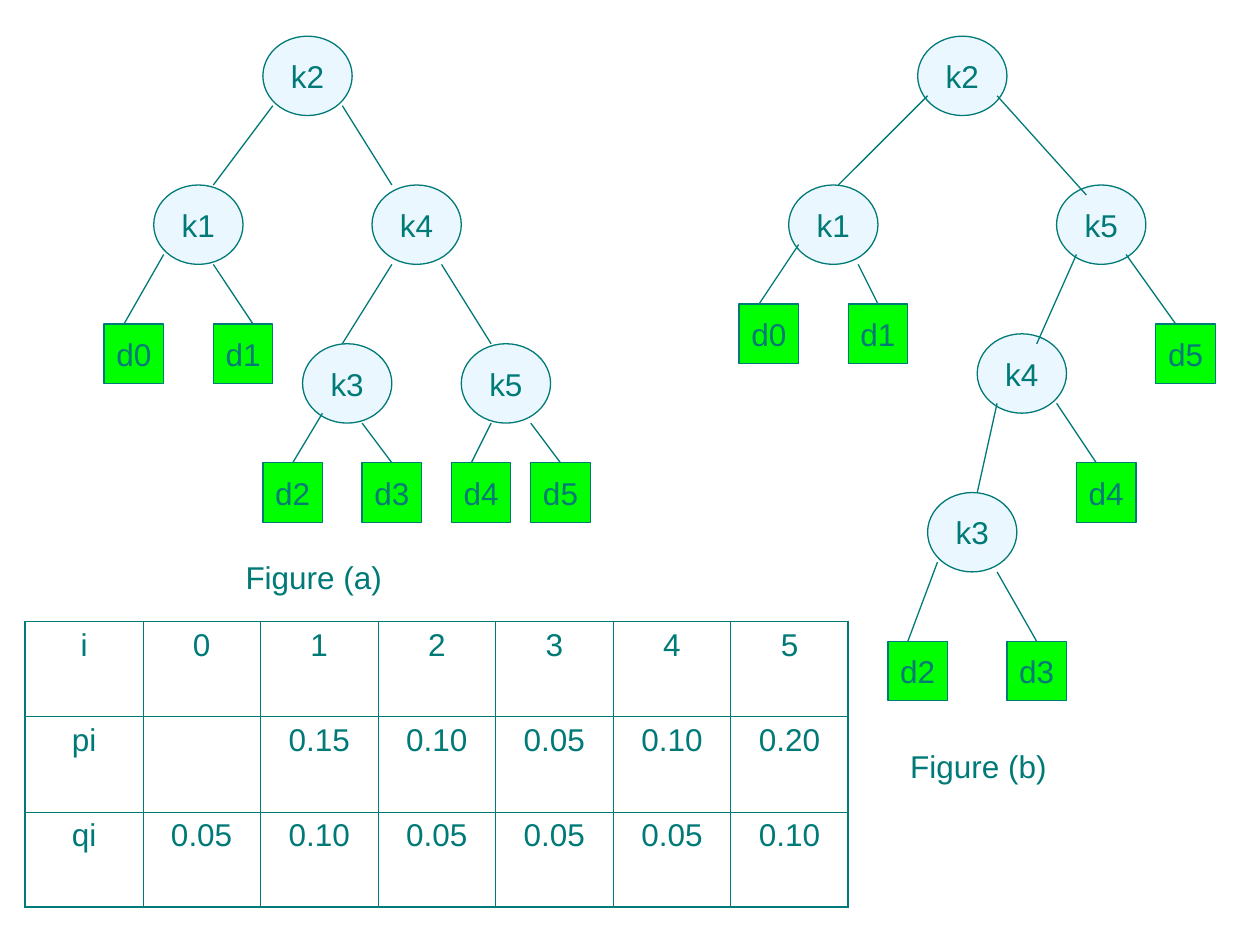
from dataclasses import dataclass
from lxml.etree import SubElement
from pptx import Presentation
from pptx.dml.color import RGBColor
from pptx.enum.shapes import MSO_CONNECTOR, MSO_SHAPE
from pptx.enum.text import MSO_ANCHOR, MSO_AUTO_SIZE, PP_ALIGN
from pptx.oxml.ns import qn
from pptx.util import Cm, Pt


@dataclass(frozen=True)
class Theme:
    ink: str = "007A77"
    key_fill: str = "EBF7FF"
    leaf_fill: str = "00FF00"
    font: str = "Arial"
    text_size: float = 18
    line_width: float = 0.75
    outer_border: float = 1.08
    inner_border: float = 0.45


THEME = Theme()
INK = RGBColor.from_string(THEME.ink)
KEY_STYLE = (MSO_SHAPE.OVAL, 1.8, 1.6, THEME.key_fill)
LEAF_STYLE = (MSO_SHAPE.RECTANGLE, 1.2, 1.2, THEME.leaf_fill)

TREE_A = {
    "box": (2.1, 0.73),
    "keys": {"k2": (3.2, 0), "k1": (1, 3), "k4": (5.4, 3), "k3": (4, 6.2), "k5": (7.2, 6.2)},
    "leaves": {"d0": (0, 5.8), "d1": (2.2, 5.8), "d2": (3.2, 8.6),
               "d3": (5.2, 8.6), "d4": (7, 8.6), "d5": (8.6, 8.6)},
    "edges": [
        (3.4, 1.4, 2.2, 3), (4.8, 1.4, 5.8, 3),
        (5.8, 4.6, 4.8, 6.2), (6.8, 4.6, 7.8, 6.2),
        (1.2, 4.4, 0.4, 5.8), (2.2, 4.6, 3, 5.8),
        (4.4, 7.6, 3.8, 8.6), (5.2, 7.8, 5.8, 8.6),
        (7.8, 7.8, 7.4, 8.6), (8.6, 7.8, 9.2, 8.6),
    ],
    "caption": ("Figure (a)", 2.6, 10.4),
}
TREE_B = {
    "box": (14.9, 0.73),
    "keys": {"k2": (3.6, 0), "k1": (1, 3), "k5": (6.4, 3), "k4": (4.8, 6), "k3": (3.8, 9.2)},
    "leaves": {"d0": (0, 5.4), "d1": (2.2, 5.4), "d2": (3, 12.2),
               "d3": (5.4, 12.2), "d4": (6.8, 8.6), "d5": (8.4, 5.8)},
    "edges": [
        (3.8, 1.2, 2, 3), (5.2, 1.2, 7, 3.2),
        (6.8, 4.4, 6, 6.2), (5.2, 7.4, 4.8, 9.2),
        (1.2, 4.2, 0.4, 5.4), (2.4, 4.6, 2.8, 5.4),
        (7.8, 4.4, 8.8, 5.8), (6.4, 7.4, 7.2, 8.6),
        (5.2, 10.8, 6, 12.2), (4, 10.6, 3.4, 12.2),
    ],
    "caption": ("Figure (b)", 3.2, 14.2),
}
PROBABILITIES = [
    ["i", "0", "1", "2", "3", "4", "5"],
    ["pi", "", "0.15", "0.10", "0.05", "0.10", "0.20"],
    ["qi", "0.05", "0.10", "0.05", "0.05", "0.05", "0.10"],
]


def set_attributes(target, **values):
    for name, value in values.items():
        setattr(target, name, value)


def write_text(text_frame, text, **paragraph_format):
    paragraph = text_frame.paragraphs[0]
    set_attributes(paragraph, **paragraph_format)
    run = paragraph.add_run()
    run.text = text
    set_attributes(run.font, name=THEME.font, size=Pt(THEME.text_size))
    run.font.color.rgb = INK


def format_line(line):
    line.color.rgb = INK
    line.width = Pt(THEME.line_width)


def add_node(slide, text, left, top, style):
    preset, width, height, fill = style
    shape = slide.shapes.add_shape(preset, Cm(left), Cm(top), Cm(width), Cm(height))
    shape.shadow.inherit = False
    shape.fill.solid()
    shape.fill.fore_color.rgb = RGBColor.from_string(fill)
    format_line(shape.line)
    set_attributes(shape.text_frame, word_wrap=False, vertical_anchor=MSO_ANCHOR.MIDDLE)
    write_text(shape.text_frame, text, alignment=PP_ALIGN.CENTER)


def add_edge(slide, *ends):
    connector = slide.shapes.add_connector(MSO_CONNECTOR.STRAIGHT, *map(Cm, ends))
    format_line(connector.line)
    SubElement(connector._element.spPr, qn("a:effectLst"))


def add_caption(slide, text, left, top):
    caption = slide.shapes.add_textbox(Cm(left), Cm(top), Cm(3.4), Cm(1.02))
    set_attributes(caption.text_frame, word_wrap=True, auto_size=MSO_AUTO_SIZE.SHAPE_TO_FIT_TEXT)
    write_text(caption.text_frame, text, space_before=Pt(11.2))


def add_tree(slide, tree):
    left, top = tree["box"]
    for group, style in (("keys", KEY_STYLE), ("leaves", LEAF_STYLE)):
        for text, (x, y) in tree[group].items():
            add_node(slide, text, left + x, top + y, style)
    for x1, y1, x2, y2 in tree["edges"]:
        add_edge(slide, left + x1, top + y1, left + x2, top + y2)
    text, x, y = tree["caption"]
    add_caption(slide, text, left + x, top + y)


def add_border(cell, side, width):
    line = SubElement(cell._tc.get_or_add_tcPr(), qn(f"a:ln{side}"), w=str(Pt(width)))
    fill = SubElement(line, qn("a:solidFill"))
    SubElement(fill, qn("a:srgbClr"), val=THEME.ink)


def add_probability_table(slide, rows, left, top, column_width, row_height):
    row_count, column_count = len(rows), len(rows[0])
    table = slide.shapes.add_table(
        row_count, column_count, Cm(left), Cm(top),
        Cm(column_width * column_count), Cm(row_height * row_count)).table
    set_attributes(table, first_row=False, horz_banding=False)
    for column in table.columns:
        column.width = Cm(column_width)
    for row_index, row in enumerate(rows):
        table.rows[row_index].height = Cm(row_height)
        for column_index, text in enumerate(row):
            cell = table.cell(row_index, column_index)
            is_outer = {"L": column_index == 0, "R": column_index == column_count - 1,
                        "T": row_index == 0, "B": row_index == row_count - 1}
            for side, outer in is_outer.items():
                add_border(cell, side, THEME.outer_border if outer else THEME.inner_border)
            cell.fill.background()
            if text:
                write_text(cell.text_frame, text, alignment=PP_ALIGN.CENTER, space_before=Pt(4.5))


def main():
    presentation = Presentation()
    set_attributes(presentation, slide_width=Cm(25.4), slide_height=Cm(19.05))
    slide = presentation.slides.add_slide(presentation.slide_layouts[6])
    for tree in (TREE_A, TREE_B):
        add_tree(slide, tree)
    add_probability_table(slide, PROBABILITIES, left=0.51, top=12.53, column_width=2.37, row_height=1.92)
    presentation.save("out.pptx")


if __name__ == "__main__":
    main()
